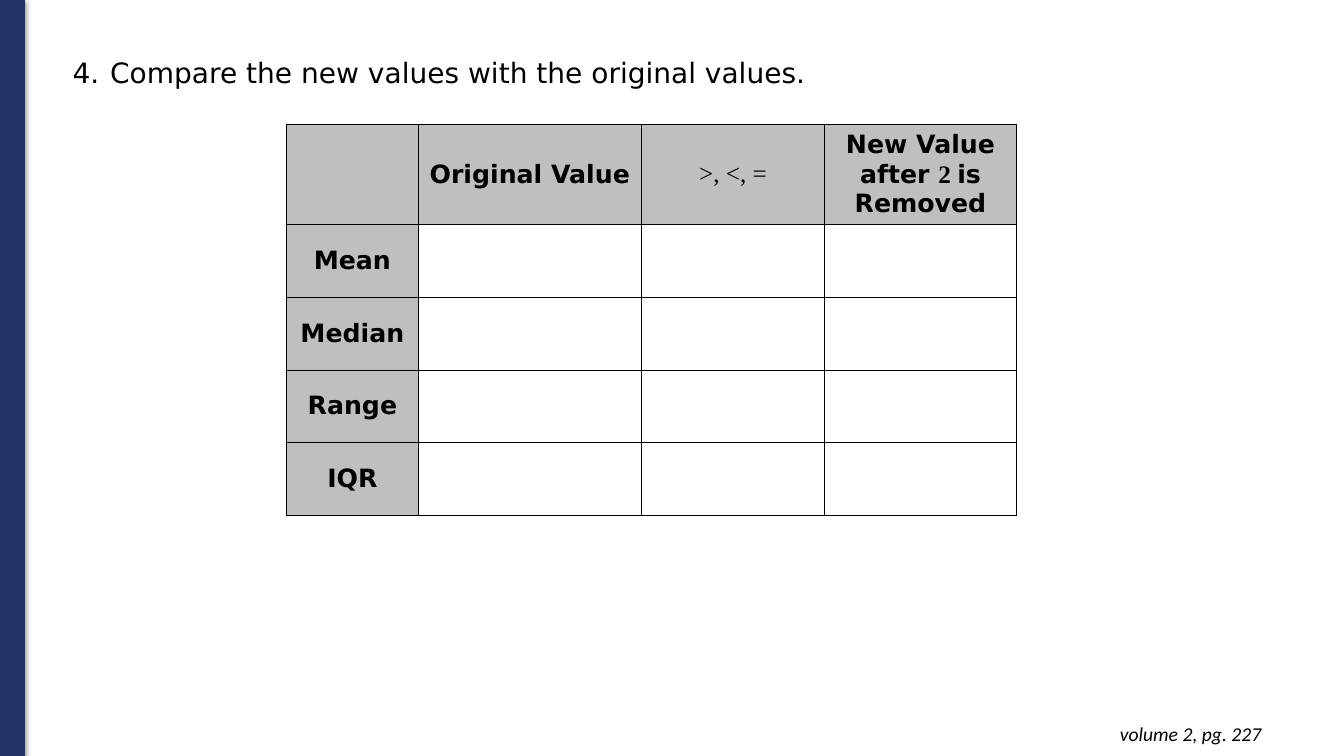
import pptx
import pptx.util
import pptx.dml.color
import pptx.enum.shapes
import pptx.enum.text
import pptx.oxml
import pptx.oxml.ns
from dataclasses import dataclass

Inches, Pt = pptx.util.Inches, pptx.util.Pt
PP_ALIGN, ANCHOR = pptx.enum.text.PP_ALIGN, pptx.enum.text.MSO_ANCHOR


@dataclass(frozen=True)
class Theme:
    navy: str = "1F3165"
    grey: str = "BFBFBF"
    black: str = "000000"
    sans: str = "DejaVu Sans"
    serif: str = "Times New Roman"
    note_font: str = "Calibri"
    prompt_size: int = 20
    gap_size: int = 24
    table_size: int = 18
    note_size: int = 14
    border: float = 0.5


T = Theme()

# Content: text runs as (text, font, size, bold, italic)
def heading(text):
    return (text, T.sans, T.table_size, True, False)


def maths(text, bold=False):
    return (text, T.serif, T.table_size, bold, False)


PROMPT = [
    ("4.", T.sans, T.prompt_size, False, False),
    (" ", T.sans, T.gap_size, False, False),
    ("Compare the new values with the original values.", T.sans, T.prompt_size, False, False),
]
COLUMNS = [
    [],
    [heading("Original Value")],
    [maths(">, <, =")],
    [heading("New Value after "), maths("2 ", True), heading("is Removed")],
]
MEASURES = ["Mean", "Median", "Range", "IQR"]
PAGE_NOTE = [("volume 2, pg. 227", T.note_font, T.note_size, False, True)]

COL_WIDTHS = [1.31, 2.21, 1.82, 1.9]
HEADER_HEIGHT, ROW_HEIGHT = 1.0, 0.72


def rgb(colour):
    return pptx.dml.color.RGBColor.from_string(colour)


def write(tf, runs, align):
    p = tf.paragraphs[0]
    p.alignment = align
    for text, font, size, bold, italic in runs:
        r = p.add_run()
        r.text = text
        r.font.name, r.font.size = font, Pt(size)
        r.font.bold, r.font.italic = bold, italic
        r.font.color.rgb = rgb(T.black)


def add_borders(cell):
    tc_pr = cell._tc.get_or_add_tcPr()
    for i, side in enumerate("LRTB"):
        tc_pr.insert(i, pptx.oxml.parse_xml(
            f'<a:ln{side} {pptx.oxml.ns.nsdecls("a")} w="{Pt(T.border)}"><a:solidFill>'
            f'<a:srgbClr val="{T.black}"/></a:solidFill></a:ln{side}>'))


prs = pptx.Presentation()
prs.slide_width, prs.slide_height = Inches(13.33), Inches(7.5)
slide = prs.slides.add_slide(prs.slide_layouts[5])

# Side bar with a soft shadow
bar = slide.shapes.add_shape(pptx.enum.shapes.MSO_SHAPE.RECTANGLE,
                             0, 0, Inches(0.24), prs.slide_height)
bar.fill.solid()
bar.fill.fore_color.rgb = rgb(T.navy)
bar.line.color.rgb = rgb(T.navy)
bar.line.width = Pt(0.75)
bar._element.spPr.append(pptx.oxml.parse_xml(
    f'<a:effectLst {pptx.oxml.ns.nsdecls("a")}>'
    f'<a:outerShdw blurRad="{Pt(4.5)}" dist="{Pt(1.5)}" dir="5400000" rotWithShape="0">'
    f'<a:srgbClr val="{T.black}"><a:alpha val="50000"/></a:srgbClr>'
    '</a:outerShdw></a:effectLst>'))

# Prompt
title = slide.shapes.title
title.left, title.top = Inches(0.62), Inches(0.44)
title.width, title.height = Inches(9.11), Inches(1.58)
tf = title.text_frame
tf.word_wrap = True
tf.auto_size = pptx.enum.text.MSO_AUTO_SIZE.NONE
tf.vertical_anchor = ANCHOR.TOP
write(tf, PROMPT, PP_ALIGN.LEFT)

# Comparison table
rows = [COLUMNS] + [[[heading(m)], [], [], []] for m in MEASURES]
heights = [HEADER_HEIGHT] + [ROW_HEIGHT] * len(MEASURES)
table = slide.shapes.add_table(len(rows), len(COLUMNS), Inches(2.84), Inches(1.23),
                               Inches(sum(COL_WIDTHS)), Inches(sum(heights))).table
table.first_row = table.horz_banding = False
for column, width in zip(table.columns, COL_WIDTHS):
    column.width = Inches(width)
for i, (row, height) in enumerate(zip(rows, heights)):
    table.rows[i].height = Inches(height)
    for j, runs in enumerate(row):
        cell = table.cell(i, j)
        cell.margin_left = cell.margin_right = Inches(0.07)
        cell.margin_top = cell.margin_bottom = Inches(0.05)
        cell.vertical_anchor = ANCHOR.MIDDLE
        if i == 0 or j == 0:
            cell.fill.solid()
            cell.fill.fore_color.rgb = rgb(T.grey)
        else:
            cell.fill.background()
        add_borders(cell)
        write(cell.text_frame, runs, PP_ALIGN.CENTER)

# Page note
note = slide.shapes.add_textbox(Inches(9.73), Inches(7.06), Inches(2.88), Inches(0.44))
tf = note.text_frame
tf.word_wrap = True
tf.margin_left = tf.margin_right = tf.margin_top = tf.margin_bottom = Inches(0.1)
write(tf, PAGE_NOTE, PP_ALIGN.RIGHT)

prs.save("out.pptx")
